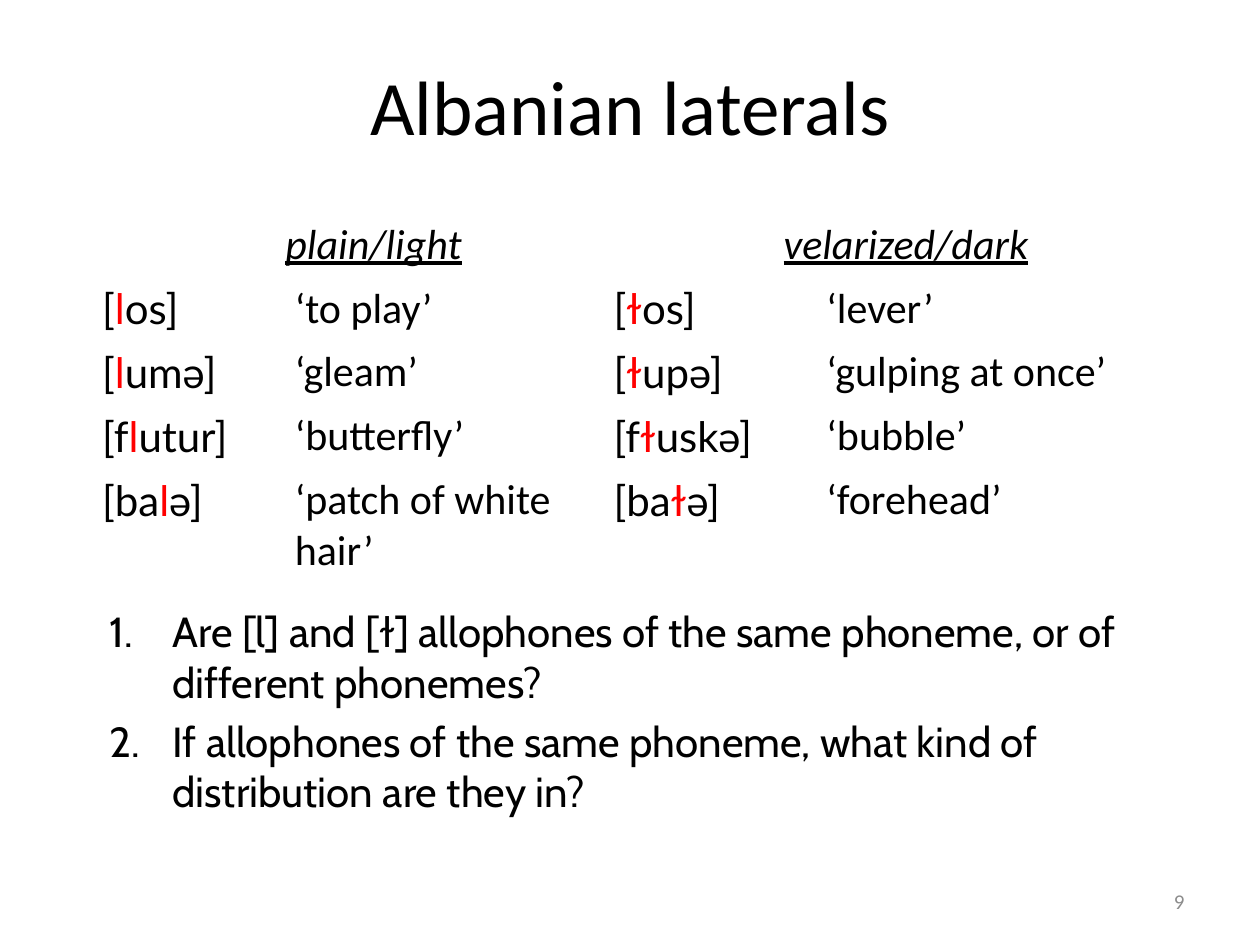
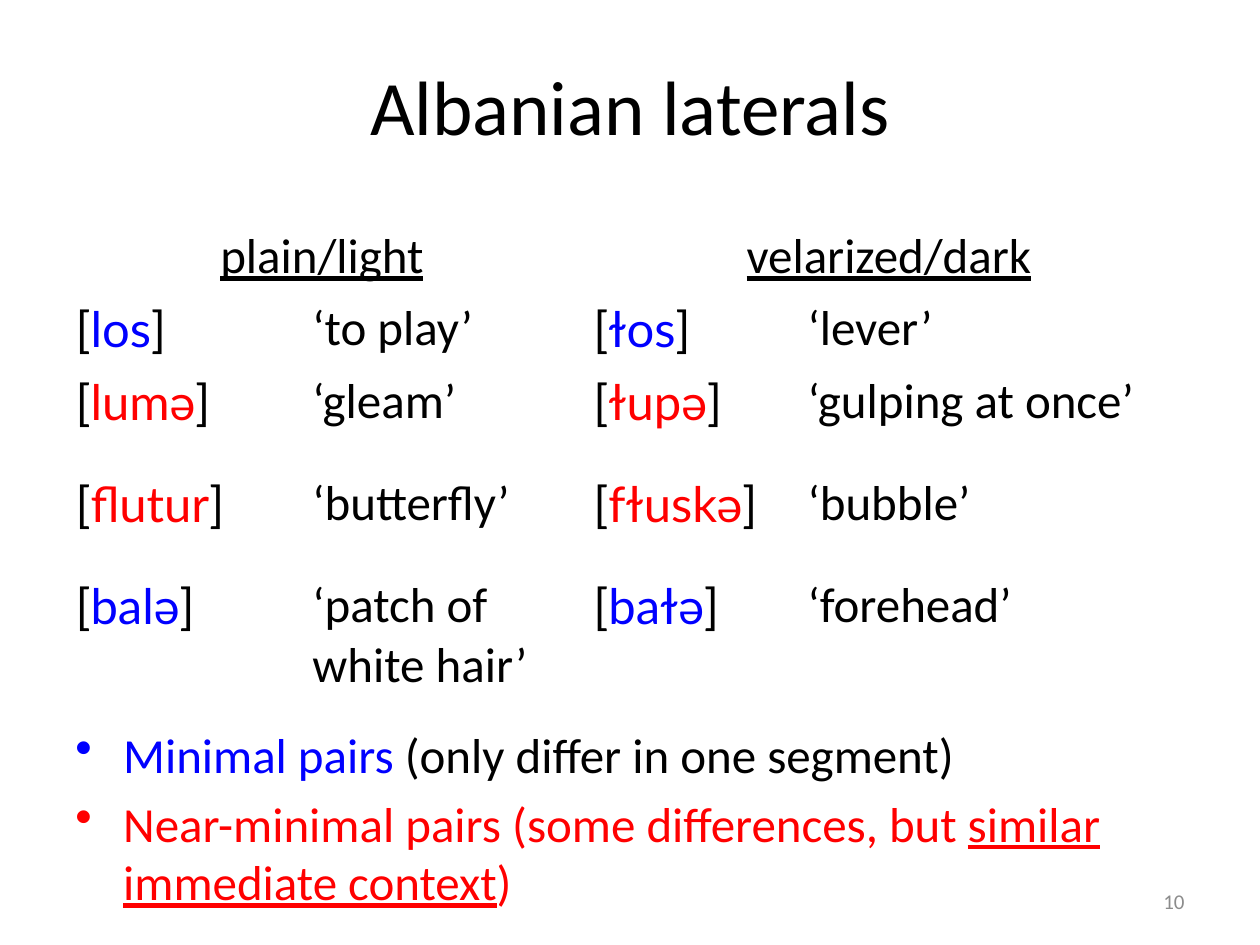
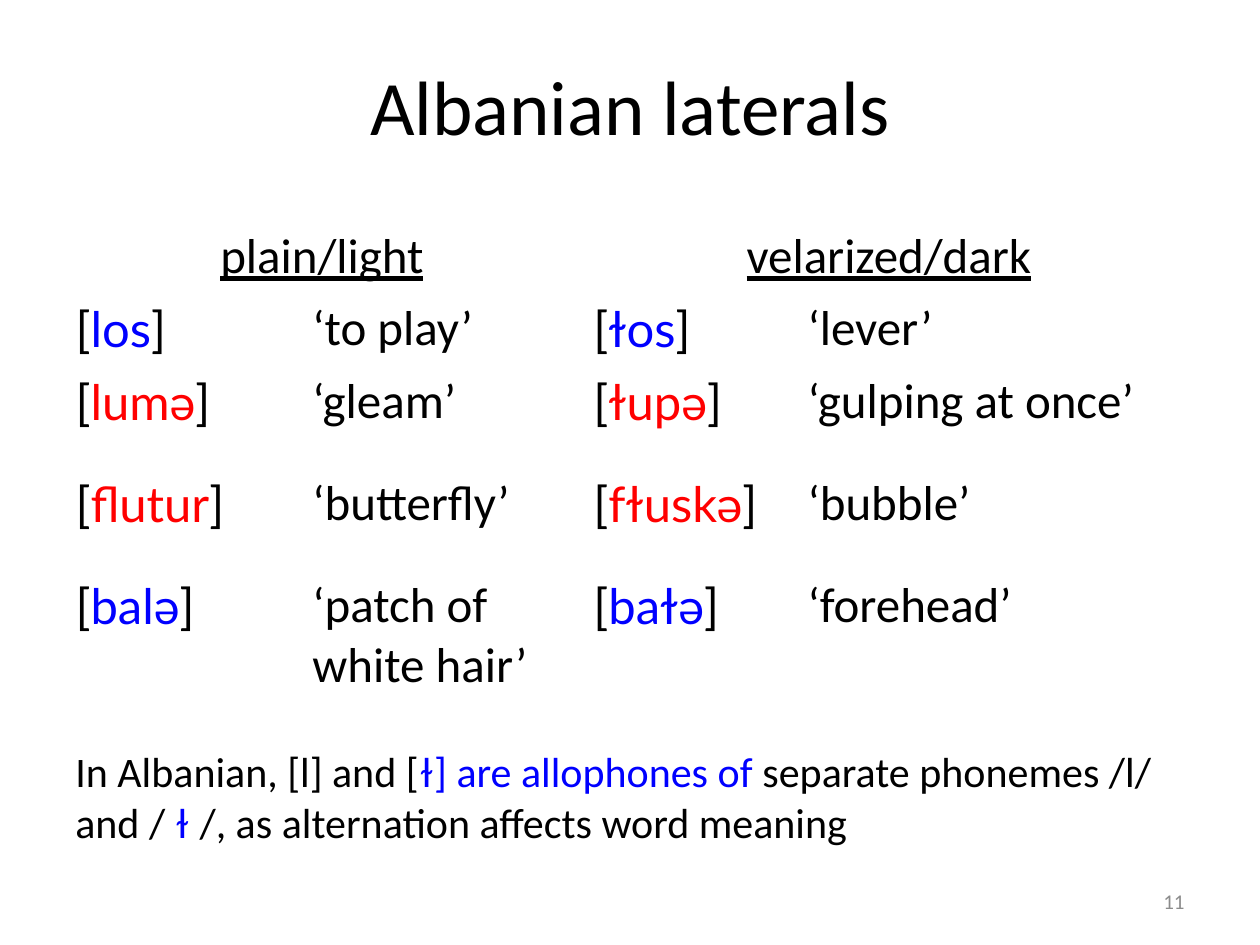
from dataclasses import dataclass
from typing import NamedTuple

from lxml.etree import SubElement
from pptx import Presentation
from pptx.dml.color import RGBColor
from pptx.enum.text import MSO_ANCHOR, PP_ALIGN
from pptx.oxml.ns import qn
from pptx.util import Inches, Pt

BLACK, WHITE, GREY = "000000", "FFFFFF", "8C8C8C"
RED, BLUE = "FF0000", "0000FF"
SANS, PHONETIC, QUESTION_FONT = "Calibri", "Lato", "Cabin"
HEADINGS = ("plain/light", "velarized/dark")


class Box(NamedTuple):
    left: float
    top: float
    width: float
    height: float


class Span(NamedTuple):
    text: str
    color: str = BLACK
    font: str = SANS
    underline: bool = False
    italic: bool = False


class WordPair(NamedTuple):
    light: str
    light_gloss: str
    dark: str
    dark_gloss: str
    minimal: bool


@dataclass(frozen=True)
class TableStyle:
    box: Box
    columns: tuple[float, ...]
    rows: tuple[float, ...]
    size: int
    italic_headings: bool = False
    first_heading_shift: float = 0
    lateral_only: bool = False  # highlight just the lateral, not the whole word


@dataclass(frozen=True)
class Note:
    box: Box
    size: int
    paragraphs: tuple[tuple[Span, ...], ...]
    marker: tuple[str, dict[str, str]] | None = None
    hanging: float = 0


@dataclass(frozen=True)
class LateralSlide:
    number: int
    table: TableStyle
    note: Note


WORD_PAIRS = (
    WordPair("los", "‘to play’", "ɫos", "‘lever’", True),
    WordPair("lumə", "‘gleam’", "ɫupə", "‘gulping at once’", False),
    WordPair("flutur", "‘butterfly’", "fɫuskə", "‘bubble’", False),
    WordPair("balə", "‘patch of white hair’", "baɫə", "‘forehead’", True),
)

EXERCISE_TABLE = TableStyle(
    Box(0.71, 1.69, 8.9, 2.9), (1.53, 2.53, 1.69, 3.15), (0.5, 0.5, 0.5, 0.5, 0.9), 24,
    italic_headings=True, first_heading_shift=0.45, lateral_only=True)
ANSWER_TABLE = TableStyle(
    Box(0.5, 1.75, 9, 3.68), (1.88, 2.23, 1.7, 3.19), (0.44, 0.44, 0.81, 0.81, 1.18), 28)

QUESTIONS = Note(
    Box(0.77, 4.76, 8.63, 2.02), 24,
    ((Span("Are [l] and [", font=QUESTION_FONT), Span("ɫ", font=PHONETIC),
      Span("] allophones of the same phoneme, or of different phonemes?", font=QUESTION_FONT)),
     (Span("If allophones of the same phoneme, what kind of distribution are they in?",
           font=QUESTION_FONT),)),
    ("a:buAutoNum", {"type": "arabicPeriod"}), 0.5)
PAIR_KINDS = Note(
    Box(0.5, 5.7, 9.3, 1.55), 28,
    ((Span("Minimal pairs ", BLUE), Span("(only differ in one segment)")),
     (Span("Near-minimal pairs (some differences, but ", RED),
      Span("similar immediate context", RED, underline=True), Span(")", RED))),
    ("a:buChar", {"char": "•"}), 0.38)
CONCLUSION = Note(
    Box(0.5, 5.87, 9, 0.91), 24,
    ((Span("In Albanian, [l] and ["), Span("ɫ] are allophones of ", BLUE),
      Span("separate phonemes /l/ and / "), Span("ɫ ", BLUE),
      Span("/, as alternation affects word meaning")),))

LATERAL_SLIDES = (
    LateralSlide(9, EXERCISE_TABLE, QUESTIONS),
    LateralSlide(10, ANSWER_TABLE, PAIR_KINDS),
    LateralSlide(11, ANSWER_TABLE, CONCLUSION),
)


def rgb(color: str) -> RGBColor:
    return RGBColor.from_string(color)


def write(paragraph, spans: tuple[Span, ...], size: int, align=PP_ALIGN.LEFT) -> None:
    paragraph.alignment = align
    for span in spans:
        run = paragraph.add_run()
        run.text = span.text
        font_format = {"name": span.font, "size": Pt(size), "bold": False,
                       "italic": span.italic, "underline": span.underline}
        for attribute, value in font_format.items():
            setattr(run.font, attribute, value)
        run.font.color.rgb = rgb(span.color)


def add_title(slide, text: str) -> None:
    title = slide.shapes.title
    for side, length in Box(0.5, 0.3, 9, 1.06)._asdict().items():
        setattr(title, side, Inches(length))
    title.text_frame.vertical_anchor = MSO_ANCHOR.MIDDLE
    write(title.text_frame.paragraphs[0], (Span(text),), 44, PP_ALIGN.CENTER)


def add_text_frame(slide, box: Box, anchor=MSO_ANCHOR.TOP):
    frame = slide.shapes.add_textbox(*map(Inches, box)).text_frame
    frame.word_wrap = True
    frame.vertical_anchor = anchor
    return frame


def add_page_number(slide, number: int) -> None:
    frame = add_text_frame(slide, Box(7.17, 6.95, 2.33, 0.4), MSO_ANCHOR.MIDDLE)
    write(frame.paragraphs[0], (Span(str(number), GREY),), 12, PP_ALIGN.RIGHT)


def add_note(slide, note: Note) -> None:
    frame = add_text_frame(slide, note.box)
    for index, spans in enumerate(note.paragraphs):
        paragraph = frame.add_paragraph() if index else frame.paragraphs[0]
        write(paragraph, spans, note.size)
        paragraph.space_before = Pt(note.size * 0.2)
        if note.marker:
            properties = paragraph._p.get_or_add_pPr()
            properties.set("marL", str(Inches(note.hanging)))
            properties.set("indent", str(-Inches(note.hanging)))
            tag, attributes = note.marker
            SubElement(properties, qn(tag), attributes)


def transcription(word: str, lateral: str, minimal: bool, lateral_only: bool) -> tuple[Span, ...]:
    """Bracket a word and colour its lateral or the whole of it."""
    if lateral_only:
        before, marked, after = word.partition(lateral)
        color = RED
    else:
        before, marked, after = "", word, ""
        color = BLUE if minimal else RED
    return (Span(f"[{before}", font=PHONETIC), Span(marked, color, PHONETIC),
            Span(f"{after}]", font=PHONETIC))


def format_cell(cell, bottom_width: int) -> None:
    """Give a cell white borders and a white fill."""
    properties = cell._tc.get_or_add_tcPr()
    for side, width in {"L": 1, "R": 1, "T": 1, "B": bottom_width}.items():
        border = SubElement(properties, qn(f"a:ln{side}"), {"w": str(Pt(width))})
        SubElement(SubElement(border, qn("a:solidFill")), qn("a:srgbClr"), {"val": WHITE})
    cell.fill.solid()
    cell.fill.fore_color.rgb = rgb(WHITE)


def add_word_table(slide, style: TableStyle) -> None:
    table = slide.shapes.add_table(
        len(style.rows), len(style.columns), *map(Inches, style.box)).table
    table.first_row = table.horz_banding = False
    for column, width in zip(table.columns, style.columns):
        column.width = Inches(width)
    for row_index, (row, height) in enumerate(zip(table.rows, style.rows)):
        row.height = Inches(height)
        for cell in row.cells:
            format_cell(cell, 1 if row_index else 3)

    for index, heading in enumerate(HEADINGS):
        cell = table.cell(0, 2 * index)
        cell.merge(table.cell(0, 2 * index + 1))
        if index == 0:
            cell.margin_left = Inches(0.1 + style.first_heading_shift)
        span = Span(heading, underline=True, italic=style.italic_headings)
        write(cell.text_frame.paragraphs[0], (span,), style.size, PP_ALIGN.CENTER)

    for row_index, pair in enumerate(WORD_PAIRS, start=1):
        contents = (
            transcription(pair.light, "l", pair.minimal, style.lateral_only),
            (Span(pair.light_gloss),),
            transcription(pair.dark, "ɫ", pair.minimal, style.lateral_only),
            (Span(pair.dark_gloss),),
        )
        for column_index, spans in enumerate(contents):
            cell = table.cell(row_index, column_index)
            write(cell.text_frame.paragraphs[0], spans, style.size)


def main() -> None:
    presentation = Presentation()
    presentation.slide_width, presentation.slide_height = Inches(10), Inches(7.5)
    title_only = presentation.slide_layouts[5]
    for content in LATERAL_SLIDES:
        slide = presentation.slides.add_slide(title_only)
        add_title(slide, "Albanian laterals")
        add_word_table(slide, content.table)
        add_note(slide, content.note)
        add_page_number(slide, content.number)
    presentation.save("out.pptx")


if __name__ == "__main__":
    main()
